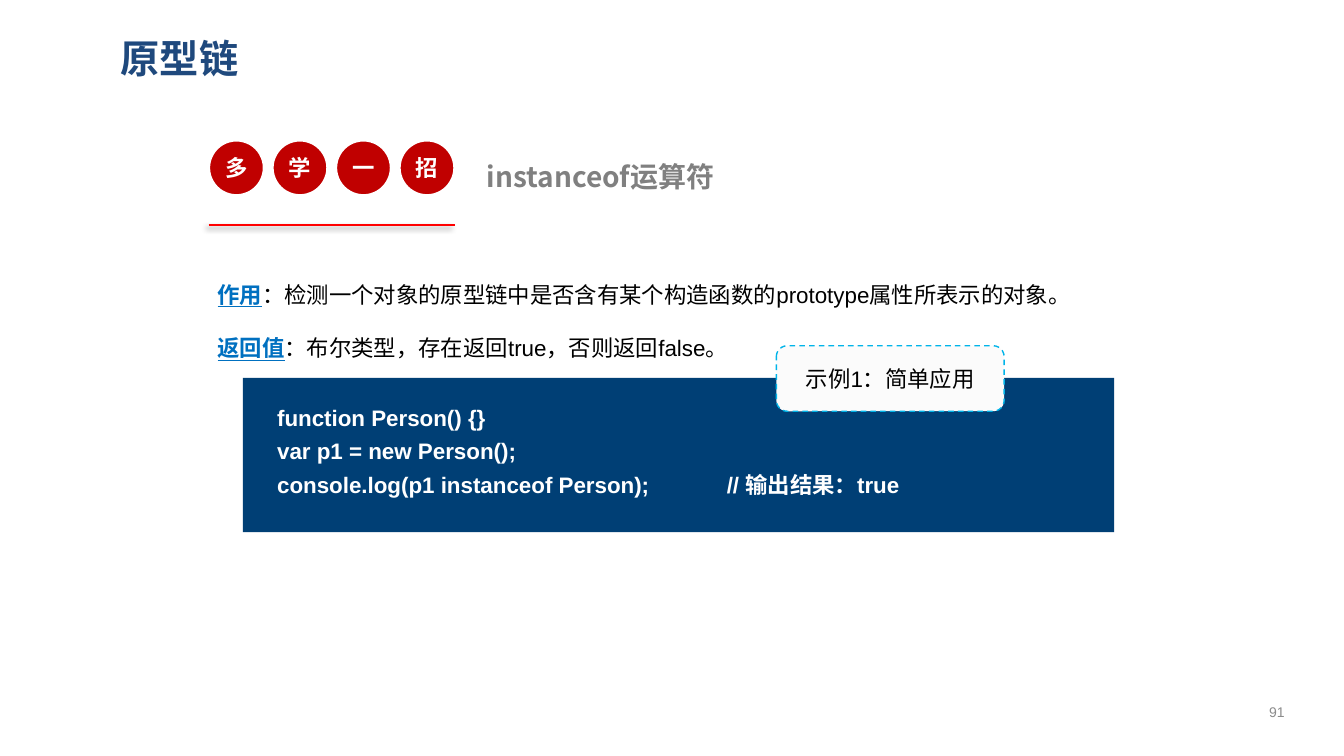
from dataclasses import dataclass

from lxml.etree import SubElement
from pptx import Presentation
from pptx.dml.color import RGBColor
from pptx.enum.dml import MSO_LINE
from pptx.enum.shapes import MSO_CONNECTOR, MSO_SHAPE
from pptx.enum.text import MSO_ANCHOR, PP_ALIGN
from pptx.oxml.ns import qn
from pptx.util import Inches, Pt


@dataclass(frozen=True)
class Theme:
    """Colours, fonts and type sizes of the slide."""
    title: str = "1F497D"
    badge: str = "C00000"
    rule: str = "FF0000"
    heading: str = "808080"
    term: str = "0070C0"
    ink: str = "000000"
    white: str = "FFFFFF"
    code_fill: str = "003F75"
    tag_fill: str = "FBFBFB"
    tag_line: str = "00B4E9"
    muted: str = "8C8C8C"
    latin: str = "Arial"
    cjk: str = "Noto Sans CJK SC"
    title_pt: int = 28
    heading_pt: int = 20
    body_pt: int = 16
    number_pt: int = 10


class Deck:
    """Draws styled elements on the current slide."""

    def __init__(self, prs, theme):
        """Add a blank slide to the presentation."""
        self.theme = theme
        self.s = prs.slides.add_slide(prs.slide_layouts[6])

    def add_run(self, p, text, size, color, bold=False, underline=False, font=None):
        """Add one styled run to a paragraph."""
        r = p.add_run()
        r.text = text
        f = r.font
        f.size, f.bold, f.underline = Pt(size), bold, underline
        f.color.rgb = RGBColor.from_string(color)
        f.name = font or self.theme.latin
        SubElement(r._r.get_or_add_rPr(), qn("a:ea"), typeface=self.theme.cjk)

    def fill_frame(self, tf, paragraphs, anchor, align, spacing=None, tab=None):
        """Fill a text frame with paragraphs given as lists of runs."""
        tf.word_wrap = True
        tf.vertical_anchor = anchor
        for i, runs in enumerate(paragraphs):
            p = tf.add_paragraph() if i else tf.paragraphs[0]
            p.alignment = align
            if spacing:
                p.line_spacing = spacing
            if tab:
                tabs = SubElement(p._p.get_or_add_pPr(), qn("a:tabLst"))
                SubElement(tabs, qn("a:tab"), pos=str(Inches(tab)), algn="l")
            for run in runs:
                self.add_run(p, **run)

    def text(self, box, paragraphs, anchor=MSO_ANCHOR.TOP, align=PP_ALIGN.LEFT, **layout):
        """Add a text box."""
        sp = self.s.shapes.add_textbox(*map(Inches, box))
        self.fill_frame(sp.text_frame, paragraphs, anchor, align, **layout)

    def shape(self, kind, box, fill, line=None, width=1, dash=None, runs=None):
        """Add a filled preset shape with optional outline and centred text."""
        sp = self.s.shapes.add_shape(kind, *map(Inches, box))
        sp.shadow.inherit = False
        sp.fill.solid()
        sp.fill.fore_color.rgb = RGBColor.from_string(fill)
        if line:
            sp.line.color.rgb = RGBColor.from_string(line)
            sp.line.width = Pt(width)
            sp.line.dash_style = dash
        else:
            sp.line.fill.background()
        if runs:
            tf = sp.text_frame
            tf.margin_left = tf.margin_right = 0
            self.fill_frame(tf, [runs], MSO_ANCHOR.MIDDLE, PP_ALIGN.CENTER)

    def rule(self, x1, x2, y, color, width):
        """Add a horizontal line with a soft shadow."""
        c = self.s.shapes.add_connector(
            MSO_CONNECTOR.STRAIGHT, Inches(x1), Inches(y), Inches(x2), Inches(y))
        c.line.color.rgb = RGBColor.from_string(color)
        c.line.width = Pt(width)
        effects = SubElement(c._element.spPr, qn("a:effectLst"))
        shadow = SubElement(effects, qn("a:outerShdw"), blurRad=str(Pt(4)),
                            dist=str(Pt(3)), dir=str(135 * 60000), algn="tr", rotWithShape="0")
        tone = SubElement(shadow, qn("a:srgbClr"), val=self.theme.ink)
        SubElement(tone, qn("a:alpha"), val="40000")


def main():
    """Build the slide and save it."""
    prs = Presentation()
    prs.slide_width, prs.slide_height = Inches(13.33), Inches(7.5)
    t = Theme()
    deck = Deck(prs, t)

    deck.text((1.1, 0.24, 11.65, 0.67),
              [[dict(text="原型链", size=t.title_pt, color=t.title, bold=True, font=t.cjk)]],
              anchor=MSO_ANCHOR.MIDDLE)

    for i, char in enumerate("多学一招"):
        deck.shape(MSO_SHAPE.OVAL, (2.07 + 0.63 * i, 1.39, 0.55, 0.55), t.badge, t.white, 2,
                   runs=[dict(text=char, size=t.body_pt, color=t.white, bold=True, font=t.cjk)])
    deck.rule(2.07, 4.51, 2.23, t.rule, 1.5)
    deck.text((4.73, 1.53, 6.43, 0.44),
              [[dict(text="instanceof运算符", size=t.heading_pt, color=t.heading,
                     bold=True, font=t.cjk)]])

    definitions = [
        ("作用", "：检测一个对象的原型链中是否含有某个构造函数的prototype属性所表示的对象。"),
        ("返回值", "：布尔类型，存在返回true，否则返回false。"),
    ]
    deck.text((2.06, 2.47, 9.19, 1.82),
              [[dict(text=term, size=t.body_pt, color=t.term, bold=True, underline=True),
                dict(text=meaning, size=t.body_pt, color=t.ink)]
               for term, meaning in definitions], spacing=2.0)

    deck.text((12.34, 6.86, 0.65, 0.4),
              [[dict(text="91", size=t.number_pt, color=t.muted)]],
              anchor=MSO_ANCHOR.MIDDLE, align=PP_ALIGN.CENTER)

    code = [
        "function Person() {}",
        "var p1 = new Person();",
        "console.log(p1 instanceof Person);\t// 输出结果：true",
    ]
    deck.shape(MSO_SHAPE.RECTANGLE, (2.41, 3.75, 8.64, 1.53), t.code_fill)
    deck.text((2.65, 3.89, 8.39, 1.2),
              [[dict(text=line, size=t.body_pt, color=t.white, bold=True)] for line in code],
              spacing=1.25, tab=4.46)
    deck.shape(MSO_SHAPE.ROUNDED_RECTANGLE, (7.7, 3.43, 2.26, 0.65), t.tag_fill, t.tag_line,
               dash=MSO_LINE.DASH,
               runs=[dict(text="示例1：简单应用", size=t.body_pt, color=t.ink)])

    prs.save("out.pptx")


if __name__ == "__main__":
    main()
